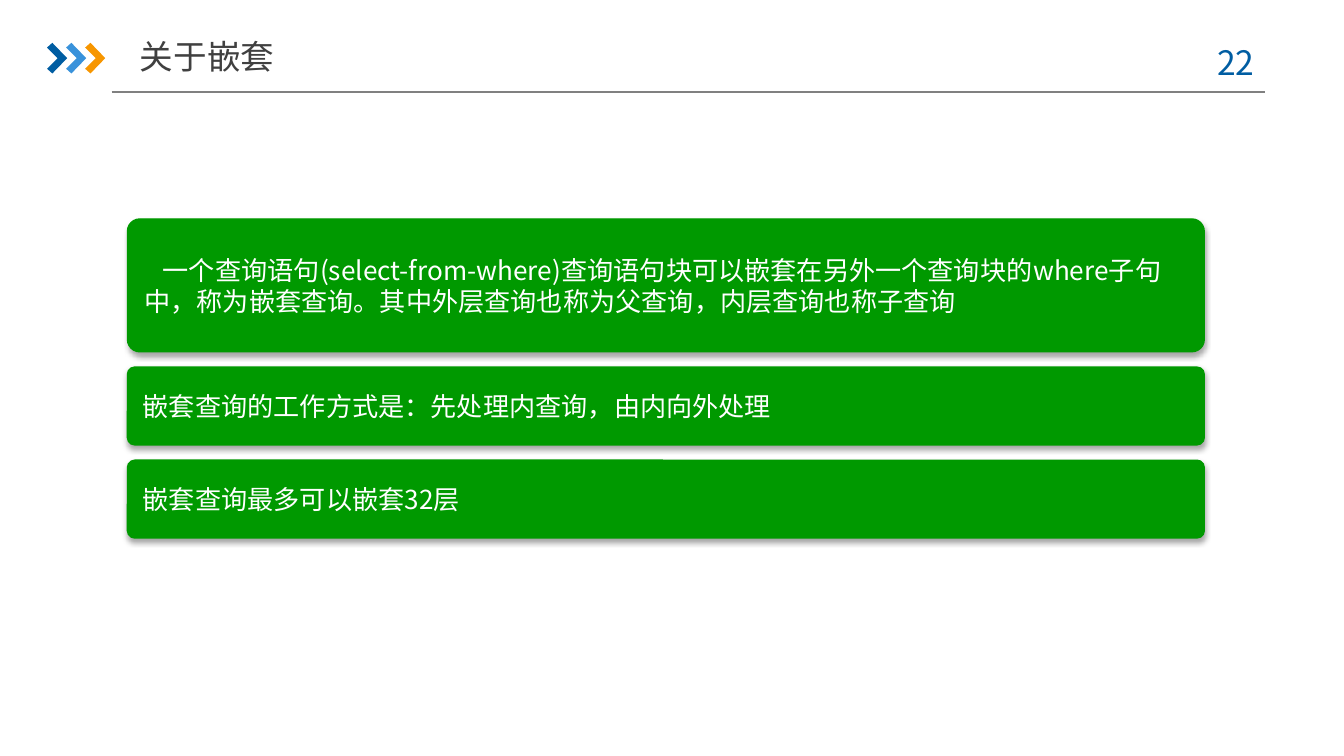
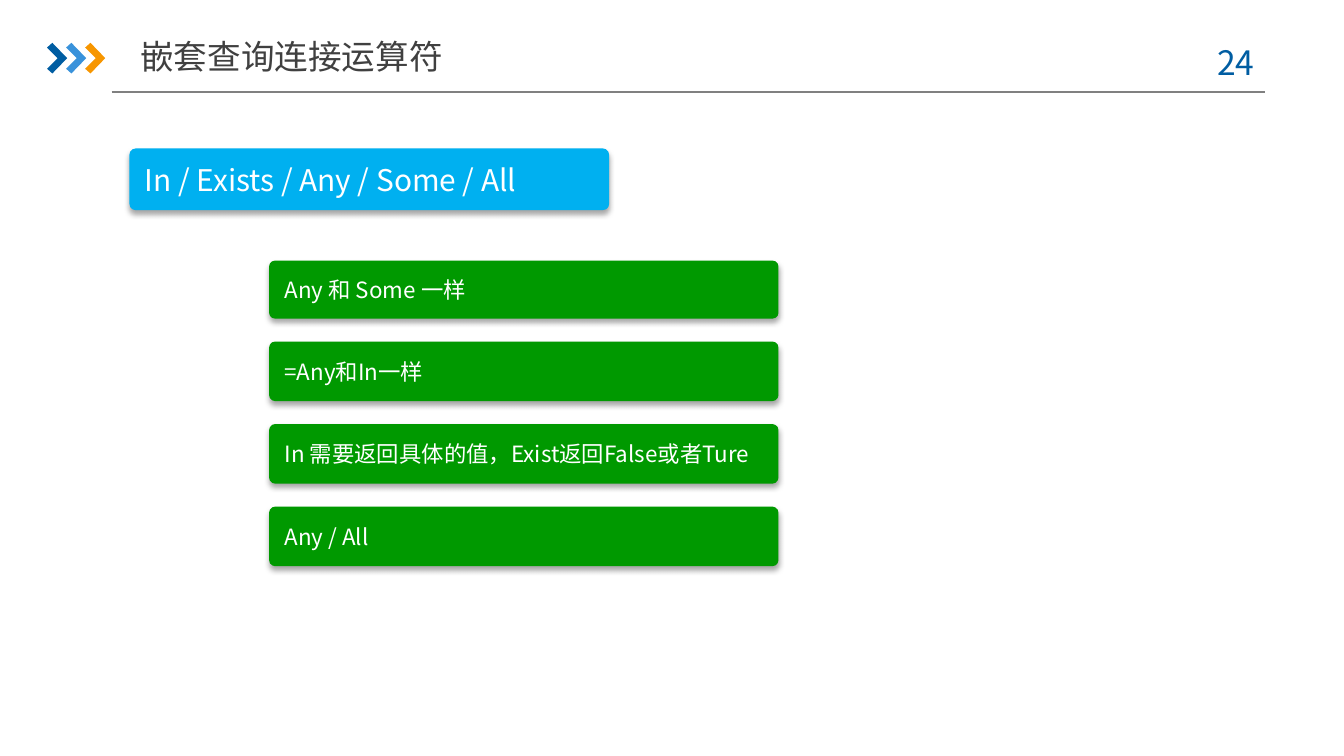
from lxml import etree
from pptx import Presentation
from pptx.dml.color import RGBColor
from pptx.enum.shapes import MSO_CONNECTOR, MSO_SHAPE
from pptx.enum.text import MSO_ANCHOR, MSO_AUTO_SIZE, PP_ALIGN
from pptx.oxml.ns import qn
from pptx.util import Cm, Pt

ROUNDED = MSO_SHAPE.ROUNDED_RECTANGLE
STRAIGHT = MSO_CONNECTOR.STRAIGHT
MIDDLE = MSO_ANCHOR.MIDDLE
GROW = MSO_AUTO_SIZE.SHAPE_TO_FIT_TEXT
LEFT, CENTER = PP_ALIGN.LEFT, PP_ALIGN.CENTER

FONT = "Noto Sans CJK SC"
BLUE, LIGHT_BLUE, ORANGE = "005DA2", "3992DB", "F79600"
GREEN, CYAN, WHITE = "009900", "00B0F0", "FFFFFF"
RULE_GRAY, TITLE_GRAY = "808080", "404040"

# Content: lengths in cm; a bar is (height, first-line indent, text)
SLIDES = [
    {
        "title": "关于嵌套", "title_left": 2.11, "title_width": 3.61, "number": "22 ",
        "stacks": [
            {"left": 2.41, "top": 4.14, "width": 20.35, "gap": 0.29,
             "color": GREEN, "size": 14, "bars": [
                 (2.51, 0.35, "一个查询语句(select-from-where)查询语句块可以嵌套在另外一个查询块的where"
                              "子句中，称为嵌套查询。其中外层查询也称为父查询，内层查询也称子查询"),
                 (1.47, 0, "嵌套查询的工作方式是：先处理内查询，由内向外处理"),
                 (1.47, 0, "嵌套查询最多可以嵌套32层")]},
        ],
    },
    {
        "title": "嵌套查询连接运算符", "title_left": 2.31, "title_width": 6.4, "number": "24 ",
        "stacks": [
            {"left": 2.46, "top": 2.82, "width": 9.04, "gap": 0,
             "color": CYAN, "size": 16, "bars": [
                 (1.14, 0, "In / Exists / Any / Some / All")]},
            {"left": 5.1, "top": 4.94, "width": 9.6, "gap": 0.46,
             "color": GREEN, "size": 12, "bars": [
                 (1.07, 0, "Any 和 Some 一样"),
                 (1.1, 0, "=Any和In一样"),
                 (1.1, 0, "In 需要返回具体的值，Exist返回False或者Ture"),
                 (1.1, 0, "Any / All")]},
        ],
    },
]

CHEVRON = [(0, 0.09), (0.1, 0), (0.38, 0.29), (0.1, 0.58), (0, 0.49), (0.2, 0.29)]
CHEVRON_LEFT, CHEVRON_TOP, CHEVRON_STEP = 0.89, 0.81, 0.36


def rgb(color):
    return RGBColor.from_string(color)


def write(frame, text, size, color, align):
    frame.word_wrap = True
    paragraph = frame.paragraphs[0]
    paragraph.text = text
    paragraph.alignment = align
    paragraph.font.size = Pt(size)
    paragraph.font.color.rgb = rgb(color)
    paragraph.font.name = FONT
    # East Asian glyphs take their own typeface
    for run in paragraph.runs:
        etree.SubElement(run.font._element, qn("a:ea"), typeface=FONT)
    return paragraph


def add_label(slide, left, top, width, height, text, color):
    label = slide.shapes.add_textbox(Cm(left), Cm(top), Cm(width), Cm(height))
    write(label.text_frame, text, 18, color, CENTER)
    return label.text_frame


def add_header(slide, page):
    # Rule under the title
    rule = slide.shapes.add_connector(STRAIGHT, Cm(2.11), Cm(1.74), Cm(23.9), Cm(1.74))
    rule.line.color.rgb = rgb(RULE_GRAY)
    rule.line.width = Pt(0.75)
    etree.SubElement(rule._element.spPr, qn("a:effectLst"))

    # Three chevrons
    chevrons = slide.shapes.add_group_shape()
    for i, color in enumerate((BLUE, LIGHT_BLUE, ORANGE)):
        left = CHEVRON_LEFT + i * CHEVRON_STEP
        points = [(Cm(left + x), Cm(CHEVRON_TOP + y)) for x, y in CHEVRON]
        outline = chevrons.shapes.build_freeform(*points[0])
        outline.add_line_segments(points[1:])
        chevron = outline.convert_to_shape()
        chevron.shadow.inherit = False
        chevron.fill.solid()
        chevron.fill.fore_color.rgb = rgb(color)
        chevron.line.fill.background()

    # Page number and title
    number = add_label(slide, 22.5, 0.66, 1.85, 1.02, page["number"], BLUE)
    number.auto_size = GROW
    title = add_label(slide, page["title_left"], 0.53, page["title_width"], 1.07,
                      page["title"], TITLE_GRAY)
    title.margin_left = title.margin_right = 0
    title.vertical_anchor = MIDDLE


def add_soft_shadow(shape):
    shape.shadow.inherit = False
    effects = shape._element.spPr.find(qn("a:effectLst"))
    shadow = etree.SubElement(effects, qn("a:outerShdw"), blurRad=str(Pt(3.1)),
                              dist=str(Pt(1.8)), dir="5400000", rotWithShape="0")
    tint = etree.SubElement(shadow, qn("a:srgbClr"), val="000000")
    etree.SubElement(tint, qn("a:alpha"), val="35000")


def add_stack(slide, stack):
    top = stack["top"]
    for height, indent, text in stack["bars"]:
        bar = slide.shapes.add_shape(ROUNDED, Cm(stack["left"]), Cm(top),
                                     Cm(stack["width"]), Cm(height))
        bar.adjustments[0] = 0.093
        bar.fill.solid()
        bar.fill.fore_color.rgb = rgb(stack["color"])
        bar.line.color.rgb = rgb(stack["color"])
        bar.line.width = Pt(0.75)
        add_soft_shadow(bar)
        bar.text_frame.vertical_anchor = MIDDLE
        paragraph = write(bar.text_frame, text, stack["size"], WHITE, LEFT)
        if indent:
            paragraph._p.get_or_add_pPr().set("indent", str(Cm(indent)))
        top += height + stack["gap"]


def main():
    deck = Presentation()
    deck.slide_width, deck.slide_height = Cm(25.4), Cm(14.29)
    blank = deck.slide_layouts[6]
    for page in SLIDES:
        slide = deck.slides.add_slide(blank)
        add_header(slide, page)
        for stack in page["stacks"]:
            add_stack(slide, stack)
    deck.save("out.pptx")


if __name__ == "__main__":
    main()
